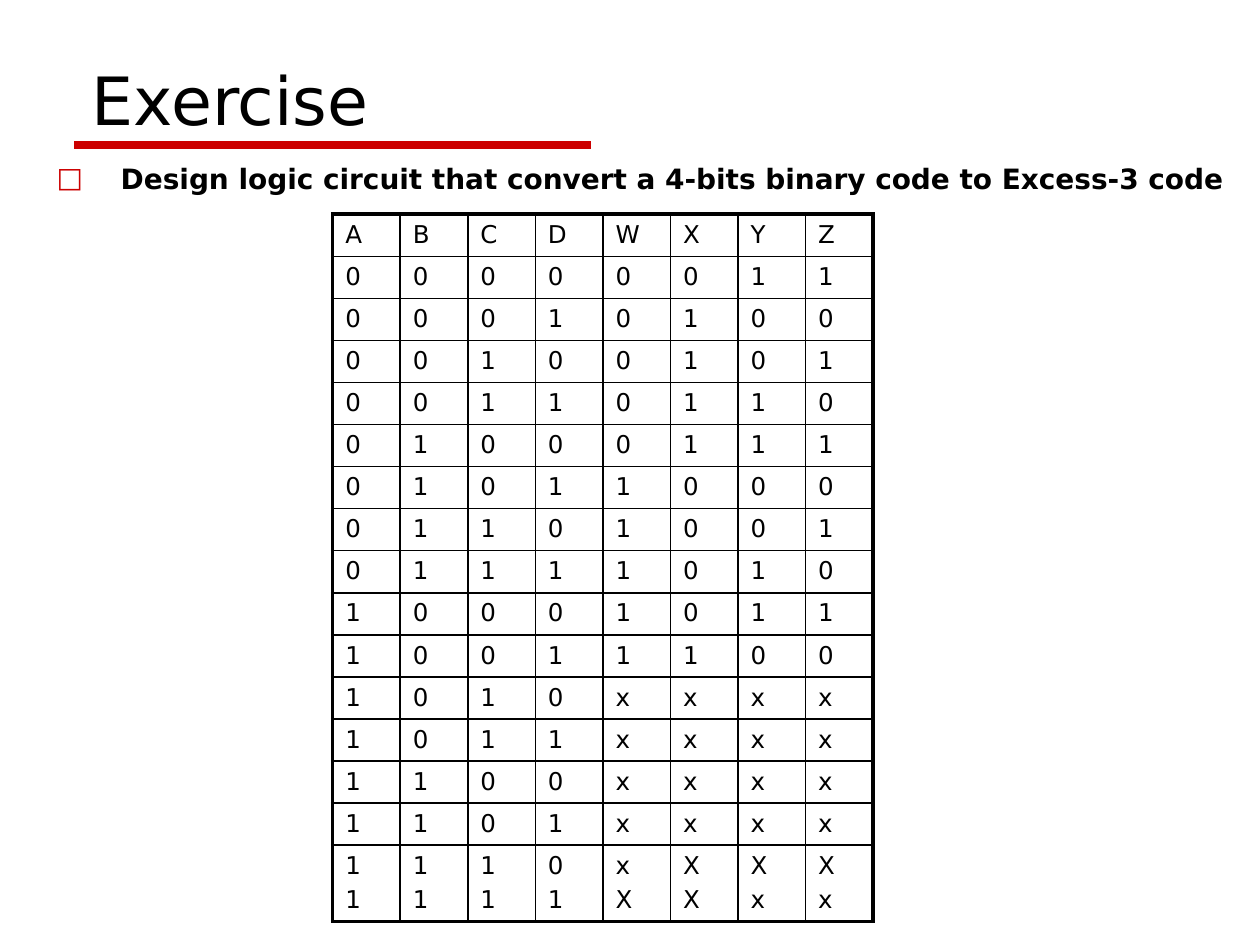
from lxml.etree import SubElement
from pptx import Presentation
from pptx.dml.color import RGBColor
from pptx.enum.shapes import MSO_CONNECTOR
from pptx.enum.text import MSO_ANCHOR
from pptx.oxml.ns import qn
from pptx.util import Inches, Pt

BLACK = RGBColor(0x00, 0x00, 0x00)
RED = RGBColor(0xCC, 0x00, 0x00)
FONT = "DejaVu Sans"
THIN, THICK = Pt(1), Pt(2.25)

HEADER = "ABCDWXYZ"
CODE_ROWS = [
    "00000011", "00010100", "00100101", "00110110", "01000111",
    "01011000", "01101001", "01111010", "10001011", "10011100",
    "1010xxxx", "1011xxxx", "1100xxxx", "1101xxxx",
]
LAST_ROW = ["1110xXXX", "1111XXxx"]


def write_text(frame, text, size, bold=False, bullet=None, indent=0):
    """Fill a text frame, one paragraph for each line of the text."""
    for index, line in enumerate(text.split("\n")):
        paragraph = frame.add_paragraph() if index else frame.paragraphs[0]
        if index:
            paragraph.space_before = Pt(size * 0.2)
        if bullet:
            add_bullet(paragraph, bullet, indent)
        run = paragraph.add_run()
        run.text = line
        run.font.name = FONT
        run.font.size = Pt(size)
        run.font.bold = bold
        run.font.color.rgb = BLACK


def add_bullet(paragraph, symbol, indent):
    properties = paragraph._p.get_or_add_pPr()
    properties.set("marL", str(indent))
    properties.set("indent", str(-indent))
    color = SubElement(properties, qn("a:buClr"))
    SubElement(color, qn("a:srgbClr"), val=str(RED))
    SubElement(properties, qn("a:buFont"), typeface=FONT)
    SubElement(properties, qn("a:buChar"), char=symbol)


def set_borders(cell, widths):
    """Draw the left, right, top and bottom borders, before the fill is set."""
    properties = cell._tc.get_or_add_tcPr()
    for side, width in zip("LRTB", widths):
        border = SubElement(properties, qn(f"a:ln{side}"), w=str(width))
        fill = SubElement(border, qn("a:solidFill"))
        SubElement(fill, qn("a:srgbClr"), val=str(BLACK))


class SlideBuilder:
    def __init__(self, presentation):
        self.slide = presentation.slides.add_slide(presentation.slide_layouts[6])

    def text_box(self, text, left, top, width, height, anchor=MSO_ANCHOR.TOP, **style):
        shape = self.slide.shapes.add_textbox(left, top, width, height)
        frame = shape.text_frame
        frame.word_wrap = True
        frame.vertical_anchor = anchor
        write_text(frame, text, **style)

    def rule(self, left, top, right):
        line = self.slide.shapes.add_connector(
            MSO_CONNECTOR.STRAIGHT, left, top, right, top)
        line.line.color.rgb = RED
        line.line.width = Pt(4.5)
        SubElement(line._element.spPr, qn("a:effectLst"))

    def truth_table(self, rows, left, top, width, row_height):
        row_count, column_count = len(rows), len(rows[0])
        table = self.slide.shapes.add_table(
            row_count, column_count, left, top, width, row_height * row_count).table
        table.first_row = table.horz_banding = False
        for row_index, row in enumerate(rows):
            for column_index, text in enumerate(row):
                cell = table.cell(row_index, column_index)
                outer_sides = (
                    column_index == 0, column_index == column_count - 1,
                    row_index == 0, row_index == row_count - 1,
                )
                set_borders(cell, [THICK if outer else THIN for outer in outer_sides])
                cell.fill.background()
                write_text(cell.text_frame, text, size=14)


def main():
    presentation = Presentation()
    presentation.slide_width = Inches(10)
    presentation.slide_height = Inches(7.5)

    builder = SlideBuilder(presentation)
    builder.text_box("Exercise", Inches(0.63), Inches(0.33), Inches(8.75), Inches(0.82),
                     anchor=MSO_ANCHOR.BOTTOM, size=38)
    builder.text_box(
        "Design logic circuit that convert a 4-bits binary code to Excess-3 code",
        Inches(0.35), Inches(1.23), Inches(9.65), Inches(0.81),
        size=16, bold=True, bullet="□", indent=Inches(0.51))
    last_cells = ["\n".join(pair) for pair in zip(*LAST_ROW)]
    builder.truth_table([HEADER, *CODE_ROWS, last_cells],
                        Inches(2.64), Inches(1.7), Inches(4.29), Inches(0.28))
    builder.rule(Inches(0.59), Inches(1.15), Inches(4.69))

    presentation.save("out.pptx")


if __name__ == "__main__":
    main()
